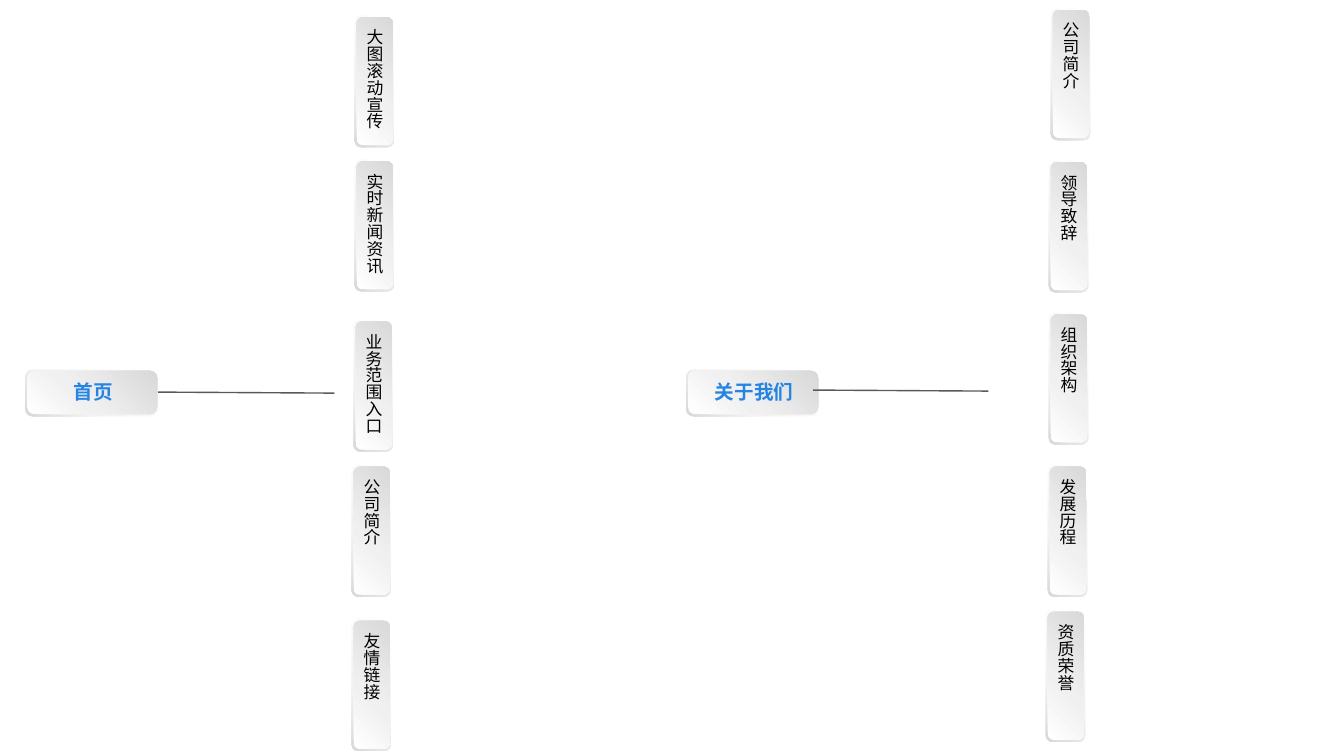
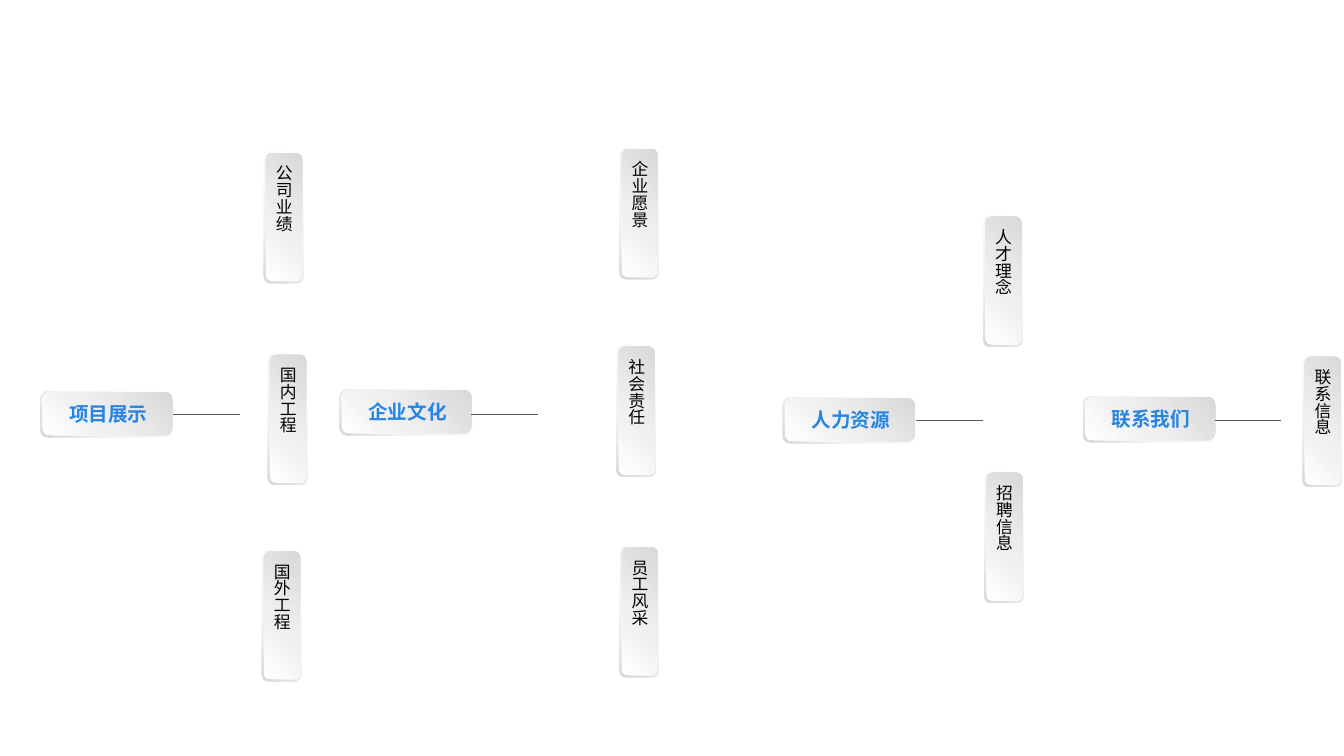
import dataclasses

import lxml.etree
import pptx
import pptx.dml.color
import pptx.enum.shapes
import pptx.enum.text
import pptx.oxml.ns
import pptx.oxml.xmlchemy
import pptx.util

Inches = pptx.util.Inches
SHAPES = pptx.enum.shapes.MSO_SHAPE
ALIGN = pptx.enum.text.PP_ALIGN


@dataclasses.dataclass(frozen=True)
class Theme:
    font: str = "Noto Sans CJK SC"
    heading_color: str = "2684E2"
    item_color: str = "000000"
    line_color: str = "595959"
    heading_size: int = 14
    item_size: int = 12
    line_width: int = 1
    # Gradient: (middle stop in percent, angle in degrees)
    rim: tuple = (62, 135)
    face: tuple = (42, 315)
    rim_middle: str = "F2F2F2"
    face_middle: str = "F0F0F0"
    light: str = "FFFFFF"
    dark: str = "D9D9D9"


THEME = Theme()


@dataclasses.dataclass(frozen=True)
class PlateStyle:
    """Sizes of a plate; face and label are (dx, dy, width, height)."""
    size: tuple
    face: tuple
    label: tuple
    text_size: int
    color: str
    bold: bool
    vertical: bool


HEADING = PlateStyle((1.32, 0.46), (0.02, 0.01, 1.29, 0.43), (0.04, 0.02, 1.27, 0.4),
                     THEME.heading_size, THEME.heading_color, True, False)
ITEM = PlateStyle((0.39, 1.31), (0.02, 0.02, 0.36, 1.27), (0, 0.04, 0.39, 1.25),
                  THEME.item_size, THEME.item_color, False, True)

# Each branch: heading (text, left, top), items alike, line (from, to)
HOME_AND_ABOUT = [
    (("首页", 0.25, 3.67),
     [("大图滚动宣传", 3.52, 0.15), ("实时新闻资讯", 3.52, 1.58),
      ("业务范围入口", 3.51, 3.17), ("公司简介", 3.49, 4.61), ("友情链接", 3.49, 6.14)],
     ((3.32, 3.9), (1.57, 3.89))),
    (("关于我们", 6.81, 3.67),
     [("公司简介", 10.43, 0.08), ("领导致辞", 10.41, 1.59), ("组织架构", 10.41, 3.1),
      ("发展历程", 10.4, 4.61), ("资质荣誉", 10.38, 6.05)],
     ((9.81, 3.88), (8.07, 3.87))),
]
PROJECTS_TO_CONTACT = [
    (("项目展示", 0.4, 3.88),
     [("公司业绩", 2.62, 1.5), ("国内工程", 2.66, 3.5), ("国外工程", 2.6, 5.45)],
     ((2.38, 4.11), (1.72, 4.11))),
    (("企业文化", 3.37, 3.86),
     [("企业愿景", 6.15, 1.46), ("社会责任", 6.12, 3.42), ("员工风采", 6.15, 5.41)],
     ((5.34, 4.11), (4.68, 4.11))),
    (("人力资源", 7.77, 3.94),
     [("人才理念", 9.76, 2.13), ("招聘信息", 9.77, 4.67)],
     ((9.76, 4.17), (9.09, 4.17))),
    (("联系我们", 10.75, 3.93),
     [("联系信息", 12.93, 3.52)],
     ((12.06, 4.17), (12.72, 4.17))),
]


def set_attributes(target, values):
    for name, value in values.items():
        setattr(target, name, value)


def rgb(color):
    return pptx.dml.color.RGBColor.from_string(color)


def fill_gradient(shape, middle_color, middle, angle):
    """Three-stop linear fill, angle clockwise in degrees."""
    shape.fill.gradient()
    shape.fill.gradient_angle = 360 - angle
    stops = shape.element.spPr.find(".//" + pptx.oxml.ns.qn("a:gsLst"))
    for stop in list(stops):
        stops.remove(stop)
    colors = ((0, THEME.light), (middle, middle_color), (100, THEME.dark))
    for position, color in colors:
        stop = lxml.etree.SubElement(stops, pptx.oxml.ns.qn("a:gs"), pos=str(position * 1000))
        lxml.etree.SubElement(stop, pptx.oxml.ns.qn("a:srgbClr"), val=color)


def add_panel(group, left, top, width, height, middle_color, gradient):
    shape = group.shapes.add_shape(SHAPES.ROUNDED_RECTANGLE, Inches(left), Inches(top),
                                   Inches(width), Inches(height))
    shape.shadow.inherit = False
    shape.line.fill.background()
    fill_gradient(shape, middle_color, *gradient)


def add_label(group, text, left, top, width, height, style):
    box = group.shapes.add_textbox(Inches(left), Inches(top), Inches(width), Inches(height))
    frame = box.text_frame
    margins = dict.fromkeys(
        ("margin_left", "margin_top", "margin_right", "margin_bottom"), Inches(0.05))
    set_attributes(frame, {"word_wrap": True,
                           "vertical_anchor": pptx.enum.text.MSO_ANCHOR.MIDDLE, **margins})
    if style.vertical:
        box.element.txBody.bodyPr.set("vert", "eaVert")
    paragraph = frame.paragraphs[0]
    paragraph.alignment = ALIGN.LEFT if style.vertical else ALIGN.CENTER
    run = paragraph.add_run()
    run.text = text
    set_attributes(run.font, {"name": THEME.font, "bold": style.bold,
                              "size": pptx.util.Pt(style.text_size)})
    run.font.color.rgb = rgb(style.color)
    # East Asian text takes its own typeface
    latin = box.element.find(".//" + pptx.oxml.ns.qn("a:latin"))
    east_asian = pptx.oxml.xmlchemy.OxmlElement("a:ea")
    east_asian.set("typeface", THEME.font)
    latin.addnext(east_asian)


def add_plate(slide, text, left, top, style):
    """Grouped rim, face and label."""
    group = slide.shapes.add_group_shape()
    add_panel(group, left, top, *style.size, THEME.rim_middle, THEME.rim)
    dx, dy, *size = style.face
    add_panel(group, left + dx, top + dy, *size, THEME.face_middle, THEME.face)
    dx, dy, *size = style.label
    add_label(group, text, left + dx, top + dy, *size, style)


def add_line(slide, start, end):
    line = slide.shapes.add_connector(pptx.enum.shapes.MSO_CONNECTOR.STRAIGHT,
                                      *map(Inches, start + end))
    line.line.color.rgb = rgb(THEME.line_color)
    line.line.width = pptx.util.Pt(THEME.line_width)
    line.element.spPr.append(pptx.oxml.xmlchemy.OxmlElement("a:effectLst"))


def add_site_map(presentation, branches):
    slide = presentation.slides.add_slide(presentation.slide_layouts[6])
    for heading, items, line in branches:
        add_plate(slide, *heading, HEADING)
        for item in items:
            add_plate(slide, *item, ITEM)
        add_line(slide, *line)


def main():
    presentation = pptx.Presentation()
    set_attributes(presentation, {"slide_width": Inches(13.34), "slide_height": Inches(7.5)})
    for branches in (HOME_AND_ABOUT, PROJECTS_TO_CONTACT):
        add_site_map(presentation, branches)
    presentation.save("out.pptx")


if __name__ == "__main__":
    main()
